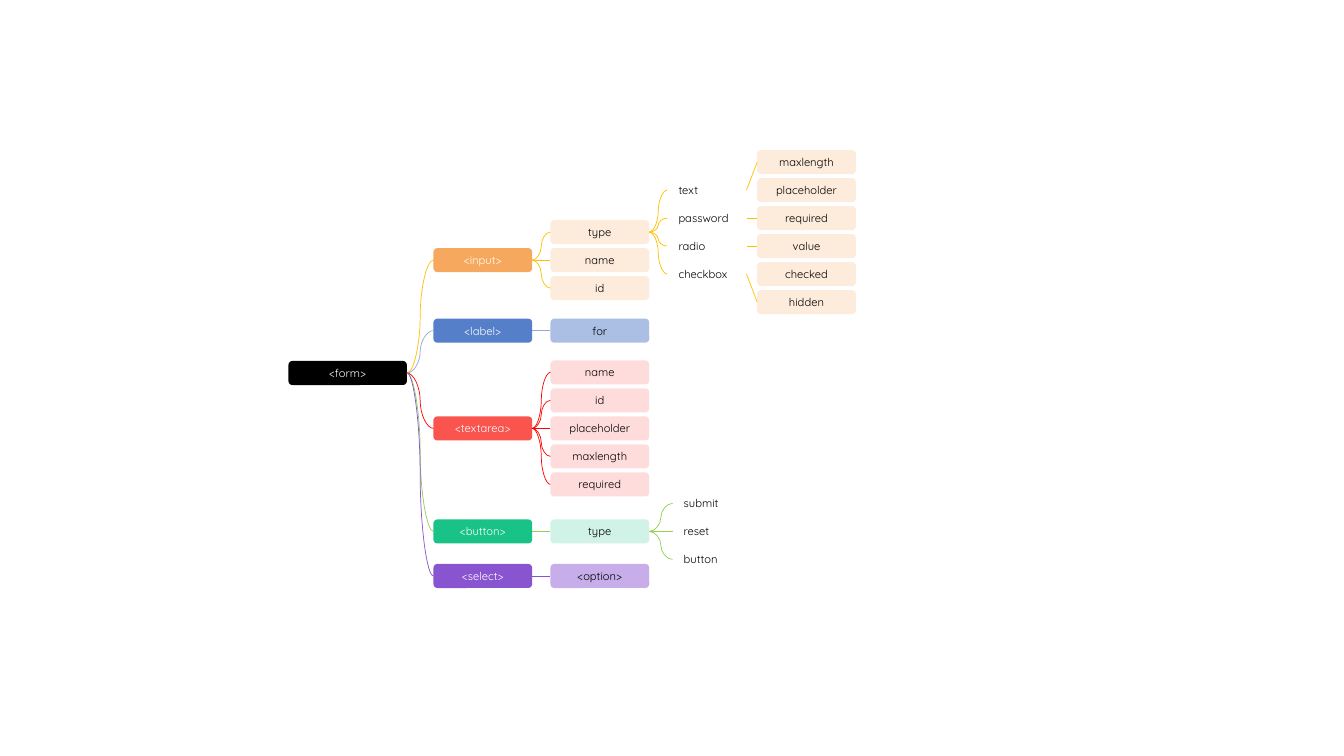
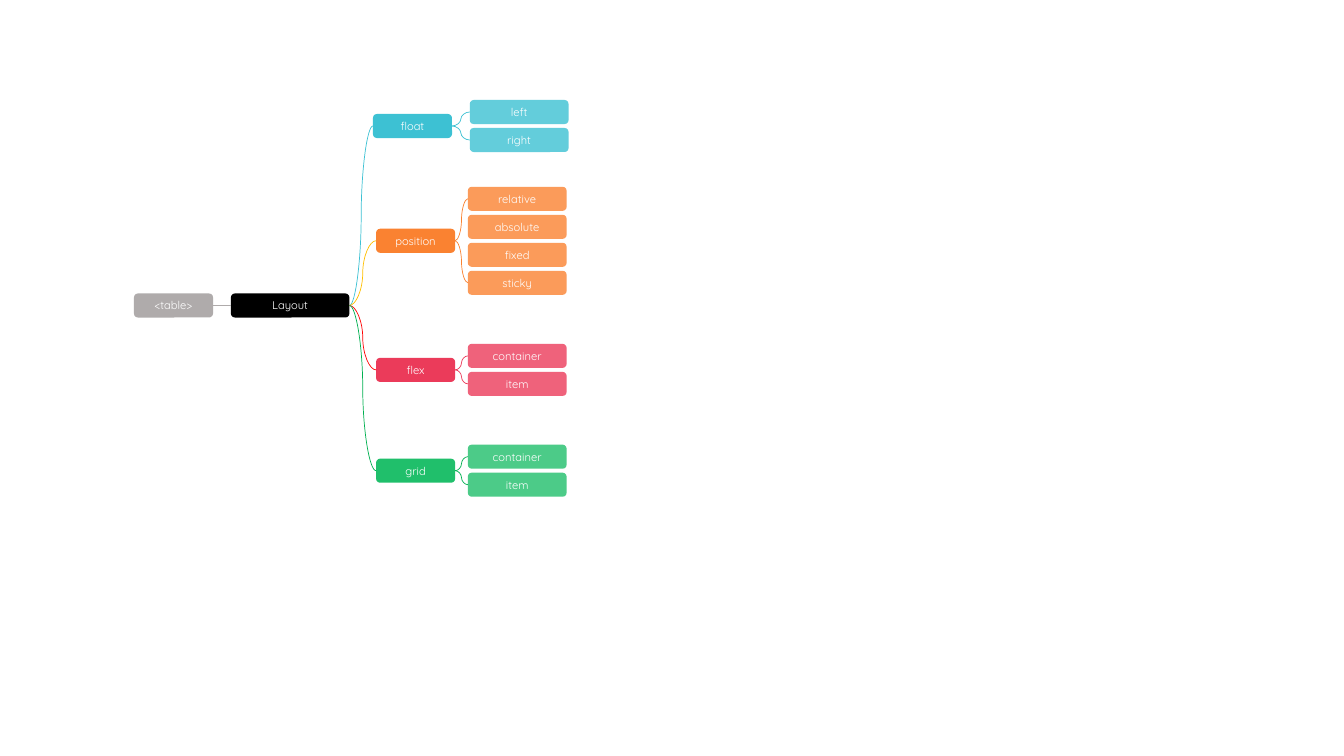
from dataclasses import dataclass
from typing import Optional

from lxml import etree
from pptx import Presentation
from pptx.dml.color import RGBColor
from pptx.enum.shapes import MSO_CONNECTOR as Connector, MSO_SHAPE as Preset
from pptx.enum.text import MSO_ANCHOR as Anchor, PP_ALIGN as Align
from pptx.oxml.ns import qn
from pptx.util import Inches, Pt

WIDTH, HEIGHT = 13.33, 7.5
COLUMN, ROW = WIDTH / 68, HEIGHT / 27
BOX_ROWS = 0.86
NARROW, MEDIUM, WIDE = 4, 5, 6  # box widths in columns
LEFT_SITE, RIGHT_SITE = 1, 3


@dataclass(frozen=True)
class Theme:
    font: str = "Quicksand"
    size: int = 8
    line_width: float = 0.5
    black: str = "000000"
    white: str = "FFFFFF"
    grey: str = "AFABAB"


@dataclass(frozen=True)
class Paint:
    """Fill, text colour and opacity (percent) of a box; no fill means a plain label."""
    fill: Optional[str]
    text: str
    opacity: int = 100


@dataclass(frozen=True)
class Palette:
    line: str
    parent: Paint
    child: Paint


THEME = Theme()
ROOT = Paint(THEME.black, THEME.white)
LABEL = Paint(None, THEME.black)


def element_palette(line, parent, child, parent_opacity=90, child_opacity=90):
    return Palette(line, Paint(parent, THEME.white, parent_opacity),
                   Paint(child, THEME.black, child_opacity))


def layout_palette(color, line=None):
    return Palette(line or color, Paint(color, THEME.white), Paint(color, THEME.white, 80))


ORANGE = element_palette("FFC000", "F6A04D", "FDECDB", child_opacity=100)
BLUE = element_palette("8FAADC", "4472C4", "A2B9E2")
RED = element_palette("FF0000", "F9423A", "FED9D8")
GREEN = element_palette("92D050", "00BC7B", "CCF2E5")
PURPLE = element_palette("8854D0", "8854D0", "C7ADE9", 100, 100)


def add_box(slide, text, column, row, columns, paint):
    """Add a rounded box whose vertical centre lies on the given row."""
    shape = slide.shapes.add_shape(
        Preset.ROUNDED_RECTANGLE, Inches(column * COLUMN),
        Inches((row - BOX_ROWS / 2) * ROW), Inches(columns * COLUMN),
        Inches(BOX_ROWS * ROW))
    shape.shadow.inherit = False
    shape.line.fill.background()
    if paint.fill:
        shape.fill.solid()
        shape.fill.fore_color.rgb = RGBColor.from_string(paint.fill)
        if paint.opacity < 100:
            color = shape.fill._xPr.find(qn("a:solidFill"))[0]
            etree.SubElement(color, qn("a:alpha"), val=str(paint.opacity * 1000))
    else:
        shape.fill.background()
    shape.text_frame.vertical_anchor = Anchor.MIDDLE
    paragraph = shape.text_frame.paragraphs[0]
    paragraph.alignment = Align.CENTER if paint.fill else Align.JUSTIFY
    run = paragraph.add_run()
    run.text = text
    run.font.name = THEME.font
    run.font.size = Pt(THEME.size)
    run.font.color.rgb = RGBColor.from_string(paint.text)
    return shape


def add_stack(slide, texts, column, row, columns, paint):
    """Add boxes one row apart, centred as a group on the given row."""
    first = row - (len(texts) - 1) / 2
    return [add_box(slide, text, column, first + index, columns, paint)
            for index, text in enumerate(texts)]


def link(slide, source, target, color, curved=True):
    """Join the right side of source to the left side of target."""
    level = abs(source.top - target.top) < Inches(0.01)
    kind = Connector.CURVE if curved and not level else Connector.STRAIGHT
    connector = slide.shapes.add_connector(kind, 0, 0, 0, 0)
    connector.begin_connect(source, RIGHT_SITE)
    connector.end_connect(target, LEFT_SITE)
    connector.line.color.rgb = RGBColor.from_string(color)
    connector.line.width = Pt(THEME.line_width)
    etree.SubElement(connector._element.spPr, qn("a:effectLst"))


def link_all(slide, source, targets, color):
    for target in targets:
        link(slide, source, target, color)


def build_form_slide(slide):
    root = add_box(slide, "<form>", 14.59, 13.32, WIDE, ROOT)
    branches = [
        ("<input>", 9.29, ORANGE, ["type", "name", "id"]),
        ("<label>", 11.81, BLUE, ["for"]),
        ("<textarea>", 15.3, RED,
         ["name", "id", "placeholder", "maxlength", "required"]),
        ("<button>", 18.98, GREEN, ["type"]),
        ("<select>", 20.57, PURPLE, ["<option>"]),
    ]
    attributes = {}
    for text, row, palette, names in branches:
        parent = add_box(slide, text, 21.93, row, MEDIUM, palette.parent)
        children = add_stack(slide, names, 27.85, row, MEDIUM, palette.child)
        link(slide, root, parent, palette.line)
        link_all(slide, parent, children, palette.line)
        attributes[text] = children

    type_row = 8.29
    input_types = add_stack(slide, ["text", "password", "radio", "checkbox"],
                            33.77, type_row, NARROW, LABEL)
    link_all(slide, attributes["<input>"][0], input_types, ORANGE.line)
    options = add_stack(
        slide, ["maxlength", "placeholder", "required", "value", "checked", "hidden"],
        38.31, type_row, MEDIUM, ORANGE.child)
    for input_type, index in zip(input_types, (0, 2, 3, 5)):
        link(slide, input_type, options[index], ORANGE.line, curved=False)

    button_types = add_stack(slide, ["submit", "reset", "button"],
                             34.03, 18.98, NARROW, LABEL)
    link_all(slide, attributes["<button>"][0], button_types, GREEN.line)


def build_layout_slide(slide):
    table = add_box(slide, "<table>", 6.78, 10.91, NARROW, Paint(THEME.grey, THEME.white))
    root = add_box(slide, "Layout", 11.68, 10.91, WIDE, ROOT)
    link(slide, table, root, THEME.grey)
    branches = [
        ("float", 18.87, 23.77, 4.5, layout_palette("3DC1D3"), "3DC1D3",
         ["left", "right"]),
        ("position", 19.03, 23.67, 8.6, layout_palette("FA8231"), "FFC000",
         ["relative", "absolute", "fixed", "sticky"]),
        ("flex", 19.03, 23.67, 13.21, layout_palette("EB3B5A"), "FF0000",
         ["container", "item"]),
        ("grid", 19.03, 23.67, 16.81, layout_palette("20BF6B", "00B050"), "00B050",
         ["container", "item"]),
    ]
    for text, column, child_column, row, palette, root_line, values in branches:
        parent = add_box(slide, text, column, row, NARROW, palette.parent)
        children = add_stack(slide, values, child_column, row, MEDIUM, palette.child)
        link(slide, root, parent, root_line)
        link_all(slide, parent, (children[0], children[-1]), palette.line)


def main():
    presentation = Presentation()
    presentation.slide_width = Inches(WIDTH)
    presentation.slide_height = Inches(HEIGHT)
    blank = presentation.slide_layouts.get_by_name("Blank")
    for build in (build_form_slide, build_layout_slide):
        build(presentation.slides.add_slide(blank))
    presentation.save("out.pptx")


if __name__ == "__main__":
    main()
